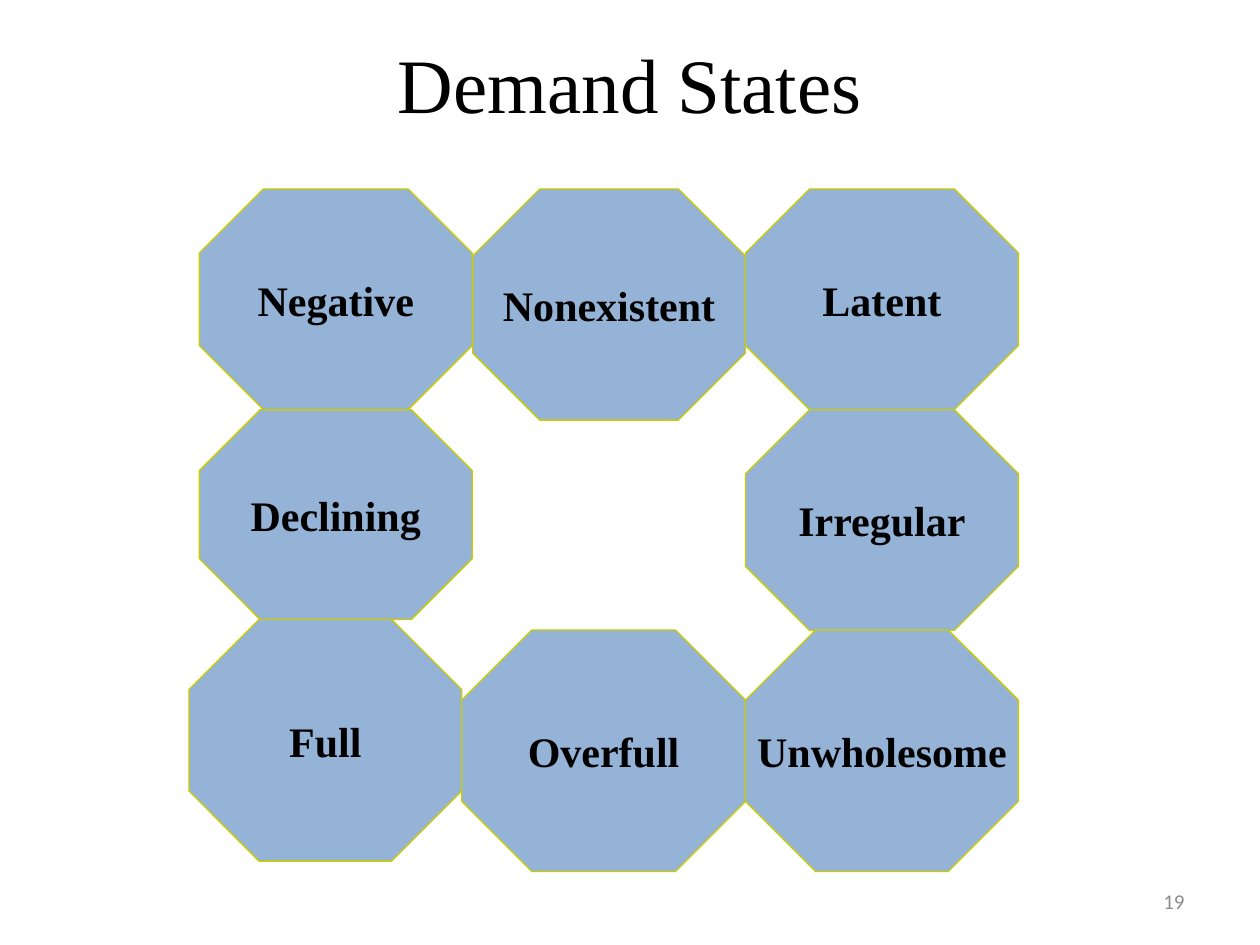
"""Build the Demand States slide: a ring of eight labelled octagons."""
from pptx import Presentation
from pptx.dml.color import RGBColor
from pptx.enum.shapes import MSO_SHAPE
from pptx.enum.text import MSO_ANCHOR, PP_ALIGN
from pptx.util import Cm, Pt


def color(hex_code):
    return RGBColor.from_string(hex_code)


def write(frame, text, size, font_name, hex_code, align, bold=False):
    frame.vertical_anchor = MSO_ANCHOR.MIDDLE
    paragraph = frame.paragraphs[0]
    paragraph.text = text
    paragraph.alignment = align
    paragraph.font.size = Pt(size)
    paragraph.font.name = font_name
    paragraph.font.bold = bold
    paragraph.font.color.rgb = color(hex_code)


presentation = Presentation()
presentation.slide_width = Cm(25.4)
presentation.slide_height = Cm(19.05)
slide = presentation.slides.add_slide(presentation.slide_layouts[6])

heading = slide.shapes.add_textbox(Cm(1.27), Cm(0.08), Cm(22.86), Cm(3.18))
heading.text_frame.word_wrap = True
write(heading.text_frame, "Demand States", 44, "Times New Roman", "000000", PP_ALIGN.CENTER)

LEFT, MIDDLE, RIGHT = 4.02, 9.53, 15.03
TOP, CENTER, BOTTOM = 3.81, 8.26, 12.7
WIDTH, HEIGHT, TALL = 5.5, 4.45, 4.87

demand_states = [
    ("Nonexistent", MIDDLE, TOP, WIDTH, 4.66),
    ("Latent", RIGHT, TOP, WIDTH, HEIGHT),
    ("Declining", LEFT, CENTER, WIDTH, 4.23),
    ("Irregular", RIGHT, CENTER, WIDTH, HEIGHT),
    ("Full", 3.81, 12.49, WIDTH, TALL),
    ("Unwholesome", RIGHT, BOTTOM, WIDTH, TALL),
    ("Overfull", 9.31, BOTTOM, 5.72, TALL),
    ("Negative", LEFT, TOP, WIDTH, HEIGHT),
]
for label, x, y, width, height in demand_states:
    state = slide.shapes.add_shape(MSO_SHAPE.OCTAGON, Cm(x), Cm(y), Cm(width), Cm(height))
    state.adjustments[0] = 0.29
    state.shadow.inherit = False
    state.fill.solid()
    state.fill.fore_color.rgb = color("95B3D7")
    state.line.color.rgb = color("CCCC00")
    state.line.width = Pt(0.75)
    state.text_frame.word_wrap = False
    write(state.text_frame, label, 24, "Times New Roman", "000000", PP_ALIGN.CENTER, bold=True)

page_number = slide.shapes.add_textbox(Cm(18.2), Cm(17.66), Cm(5.93), Cm(1.01))
page_number.text_frame.word_wrap = True
write(page_number.text_frame, "19", 12, "Calibri", "8C8C8C", PP_ALIGN.RIGHT)

presentation.save("out.pptx")
